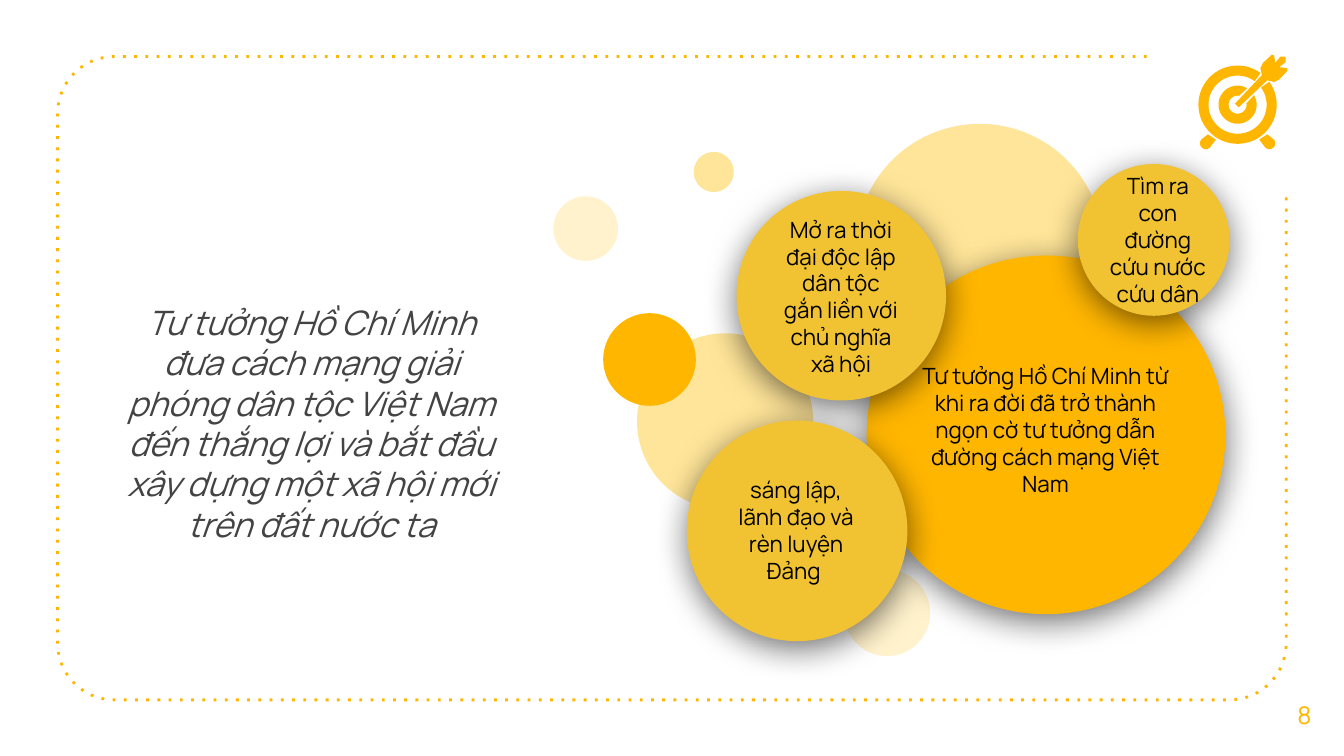
from math import cos, radians, sin

from lxml import etree
from pptx import Presentation
from pptx.dml.color import RGBColor
from pptx.enum.shapes import MSO_SHAPE
from pptx.enum.text import MSO_ANCHOR, PP_ALIGN
from pptx.oxml.ns import qn
from pptx.util import Cm, Pt

OVAL = MSO_SHAPE.OVAL
TOP, MIDDLE = MSO_ANCHOR.TOP, MSO_ANCHOR.MIDDLE
CENTER = PP_ALIGN.CENTER

THEME = {
    "font": "Manrope",
    "amber": RGBColor.from_string("FFB600"),
    "gold": RGBColor.from_string("F1C232"),
    "sand": RGBColor.from_string("FFE599"),
    "cream": RGBColor.from_string("FFF2CC"),
    "gray": RGBColor.from_string("434343"),
    "black": RGBColor.from_string("000000"),
    "title": Pt(18),
    "number": Pt(13),
    "note": Pt(12),
}


def arc(x, y, size, start, end):
    steps = max(4, int(abs(end - start) / 6))
    turns = [radians(start + (end - start) * i / steps) for i in range(steps + 1)]
    return [(x + size * cos(t), y + size * sin(t)) for t in turns]


def write(tree, place, text, size, color, anchor=MIDDLE, slant=False, foot=0.25):
    box = tree.add_textbox(*map(Cm, place))
    frame = box.text_frame
    layout = {
        "word_wrap": True, "vertical_anchor": anchor,
        "margin_left": Cm(0.25), "margin_right": Cm(0.25),
        "margin_top": Cm(0.25), "margin_bottom": Cm(foot),
    }
    for name, value in layout.items():
        setattr(frame, name, value)
    line = frame.paragraphs[0]
    line.alignment = CENTER
    run = line.add_run()
    run.text = text
    style = {"name": THEME["font"], "size": THEME[size], "italic": slant}
    for name, value in style.items():
        setattr(run.font, name, value)
    run.font.color.rgb = THEME[color]
    return box


deck = Presentation()
deck.slide_width, deck.slide_height = Cm(25.4), Cm(14.29)
slide = deck.slides.add_slide(deck.slide_layouts[6])
shapes = slide.shapes

left, top, right, bottom, bend = 1.09, 1.07, 24.31, 13.23, 1.07
border = [
    (21.67, top),
    *arc(left + bend, top + bend, bend, 270, 180),
    *arc(left + bend, bottom - bend, bend, 180, 90),
    *arc(right - bend, bottom - bend, bend, 90, 0),
    (right, 3.71),
]
points = [(Cm(x), Cm(y)) for x, y in border]
pen = shapes.build_freeform(*points[0])
pen.add_line_segments(points[1:], close=False)
frame = pen.convert_to_shape()
frame.shadow.inherit = False
frame.fill.background()
frame.line.color.rgb = THEME["amber"]
frame.line.width = Pt(1.5)
stroke = frame._element.spPr.find(qn("a:ln"))
etree.SubElement(stroke, qn("a:prstDash"), val="dot")

write(
    shapes, (2.11, 5.46, 7.54, 8.05),
    "Tư tưởng Hồ Chí Minh đưa cách mạng giải phóng dân tộc Việt Nam "
    "đến thắng lợi và bắt đầu xây dựng một xã hội mới trên đất nước ta",
    "title", "gray", TOP, True,
)
write(shapes, (23.9, 12.75, 1.5, 1.52), "8", "number", "amber")

dots = [
    (15.95, 10.77, 1.63, "cream"),
    (10.46, 3.71, 1.22, "cream"),
    (12.04, 6.3, 3.33, "sand"),
    (16.18, 2.34, 4.67, "sand"),
    (11.4, 5.92, 1.75, "amber"),
    (13.11, 2.87, 0.76, "sand"),
]
clusters = [
    (dots, None, "", 0),
    ([(16.38, 4.83, 6.78, "amber")], (17.17, 6.76, 5.18, 3.23),
     "Tư tưởng Hồ Chí Minh từ khi ra đời đã trở thành ngọn cờ tư tưởng "
     "dẫn đường cách mạng Việt Nam", 0.76),
    ([(13.92, 3.61, 3.96, "gold")], (14.55, 4.83, 2.69, 2.06),
     "Mở ra thời đại độc lập dân tộc gắn liền với chủ nghĩa xã hội", 0.76),
    ([(12.98, 7.95, 4.17, "gold")], (13.56, 8.71, 2.97, 2.62),
     "sáng lập, lãnh đạo và rèn luyện Đảng ", 0.25),
    ([(20.37, 3.1, 2.87, "gold")], (20.68, 3.58, 2.41, 1.9),
     "Tìm ra con đường cứu nước cứu dân", 0.25),
]
for discs, place, text, foot in clusters:
    group = shapes.add_group_shape().shapes
    for x, y, size, color in discs:
        disc = group.add_shape(OVAL, Cm(x), Cm(y), Cm(size), Cm(size))
        disc.shadow.inherit = False
        disc.fill.solid()
        disc.fill.fore_color.rgb = THEME[color]
        disc.line.fill.background()
        if not place:
            disc.rotation = 250
            continue
        effects = disc._element.spPr.find(qn("a:effectLst"))
        shade = etree.SubElement(
            effects, qn("a:outerShdw"), blurRad=str(Pt(18)), dist=str(Pt(4)),
            dir="5400000", algn="bl", rotWithShape="0",
        )
        tint = etree.SubElement(shade, qn("a:srgbClr"), val=str(THEME["black"]))
        etree.SubElement(tint, qn("a:alpha"), val="55000")
    if place:
        note = write(group, place, text, "note", "black", foot=foot)
        if color == "amber":
            note.fill.solid()
            note.fill.fore_color.rgb = THEME[color]

foot = arc(-0.6, 0.73, 0.11, 45, 225) + [(-0.56, 0.56), (-0.41, 0.66)]
side = [
    (-0.05, -0.02), (0.46, -0.56), (0.43, -0.69), (0.48, -0.79), (0.64, -0.94),
    (0.69, -0.94), (0.71, -0.79), (0.81, -0.91), (0.89, -0.91),
]
target = [
    arc(0, 0, 0.74, -36, 306) + arc(0, 0, 0.55, 306, -36),
    arc(0, 0, 0.36, -30, 300) + arc(0, 0, 0.17, 279, -9),
    foot,
    [(-x, y) for x, y in foot],
    side + [(-y, -x) for x, y in reversed(side)],
]
icon = shapes.add_group_shape().shapes
for part in target:
    points = [(Cm(23.39 + x), Cm(1.98 + y)) for x, y in part]
    pen = icon.build_freeform(*points[0])
    pen.add_line_segments(points[1:])
    piece = pen.convert_to_shape()
    piece.shadow.inherit = False
    piece.fill.solid()
    piece.fill.fore_color.rgb = THEME["amber"]
    piece.line.fill.background()

deck.save("out.pptx")
